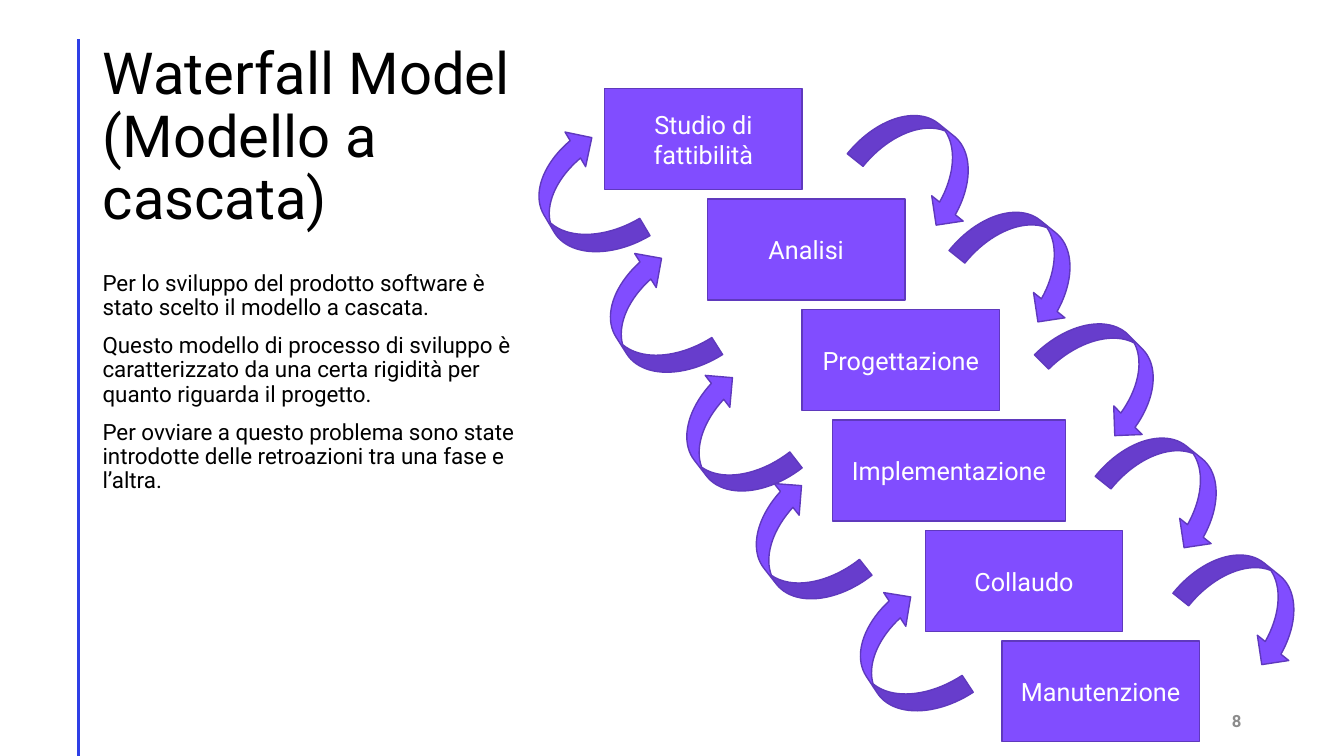
from lxml.etree import SubElement
from pptx import Presentation
from pptx.dml.color import RGBColor
from pptx.enum.shapes import MSO_CONNECTOR, MSO_SHAPE
from pptx.enum.text import MSO_ANCHOR, MSO_AUTO_SIZE, PP_ALIGN
from pptx.oxml.ns import qn
from pptx.util import Pt

TITLE = "Waterfall Model (Modello a cascata)"
BODY = [
    "Per lo sviluppo del prodotto software è stato scelto il modello a cascata.",
    "Questo modello di processo di sviluppo è caratterizzato da una certa rigidità "
    "per quanto riguarda il progetto.",
    "Per ovviare a questo problema sono state introdotte delle retroazioni "
    "tra una fase e l’altra.",
]
PAGE_NUMBER = "8"
# phase, left, width
PHASES = [
    ("Studio di fattibilità", 432, 141),
    ("Analisi", 505.4, 141),
    ("Progettazione", 573, 141),
    ("Implementazione", 594.7, 166.3),
    ("Collaudo", 661, 141),
    ("Manutenzione", 715.7, 141),
]
# left, top, rotation
FORWARD_ARROWS = [
    (612.7, 88.6, 38.8), (685.4, 157.7, 38.8), (745.2, 238.3, 45.2),
    (789.8, 319, 38.8), (845.3, 402.5, 38.8),
]
FEEDBACK_ARROWS = [
    (367.2, 113, 239.3), (418.3, 199.4, 237.6), (473, 285.1, 232.3),
    (522.7, 362.2, 231.8), (596.9, 441.4, 236.7),
]
PHASE_TOP, PHASE_PITCH, PHASE_HEIGHT = 63.4, 78.9, 72
ARROW_WIDTH, ARROW_HEIGHT = 95.8, 57.6

FONT = "Roboto"
BLACK = RGBColor(0x00, 0x00, 0x00)
WHITE = RGBColor(0xFF, 0xFF, 0xFF)
GRAY = RGBColor(0x8C, 0x8C, 0x8C)
PURPLE = RGBColor(0x81, 0x4D, 0xFF)
DARK_PURPLE = RGBColor(0x5F, 0x39, 0xBD)
BLUE = RGBColor(0x2E, 0x3F, 0xE6)


def write(shape, texts, size, color, anchor, bold=False, **paragraph_format):
    frame = shape.text_frame
    frame.word_wrap = True
    frame.auto_size = MSO_AUTO_SIZE.NONE
    frame.vertical_anchor = anchor
    for index, text in enumerate(texts):
        paragraph = frame.add_paragraph() if index else frame.paragraphs[0]
        for name, value in paragraph_format.items():
            setattr(paragraph, name, value)
        run = paragraph.add_run()
        run.text = text
        for name, value in {"name": FONT, "size": Pt(size), "bold": bold}.items():
            setattr(run.font, name, value)
        run.font.color.rgb = color


def add_purple_shape(slide, kind, left, top, width, height, rotation=0):
    shape = slide.shapes.add_shape(kind, Pt(left), Pt(top), Pt(width), Pt(height))
    shape.rotation = rotation
    shape.shadow.inherit = False
    shape.fill.solid()
    shape.fill.fore_color.rgb = PURPLE
    shape.line.color.rgb = DARK_PURPLE
    shape.line.width = Pt(1)
    return shape


def main():
    presentation = Presentation()
    presentation.slide_width, presentation.slide_height = Pt(960), Pt(540)
    slide = presentation.slides.add_slide(presentation.slide_layouts[5])

    rule = slide.shapes.add_connector(
        MSO_CONNECTOR.STRAIGHT, Pt(56.2), Pt(28), Pt(56.2), Pt(540))
    rule.line.color.rgb = BLUE
    rule.line.width = Pt(2)
    SubElement(rule.line._get_or_add_ln().getparent(), qn("a:effectLst"))

    title = slide.shapes.title
    title.left, title.top, title.width, title.height = Pt(66.2), Pt(36), Pt(335), Pt(126)
    write(title, [TITLE], 41.4, BLACK, MSO_ANCHOR.MIDDLE,
          alignment=PP_ALIGN.LEFT, line_spacing=0.9)

    body = slide.shapes.add_textbox(Pt(66.2), Pt(190.8), Pt(309.6), Pt(300))
    write(body, BODY, 16, BLACK, MSO_ANCHOR.TOP, line_spacing=0.9, space_before=Pt(10))

    number = slide.shapes.add_textbox(Pt(678), Pt(500.4), Pt(216), Pt(28.8))
    write(number, [PAGE_NUMBER], 12, GRAY, MSO_ANCHOR.MIDDLE, bold=True,
          alignment=PP_ALIGN.RIGHT, space_after=Pt(6))

    for index, (phase, left, width) in enumerate(PHASES):
        box = add_purple_shape(slide, MSO_SHAPE.RECTANGLE, left,
                               PHASE_TOP + index * PHASE_PITCH, width, PHASE_HEIGHT)
        write(box, [phase], 18, WHITE, MSO_ANCHOR.MIDDLE, alignment=PP_ALIGN.CENTER)

    for left, top, rotation in FORWARD_ARROWS + FEEDBACK_ARROWS:
        add_purple_shape(slide, MSO_SHAPE.CURVED_DOWN_ARROW, left, top,
                         ARROW_WIDTH, ARROW_HEIGHT, rotation)

    presentation.save("out.pptx")


if __name__ == "__main__":
    main()
